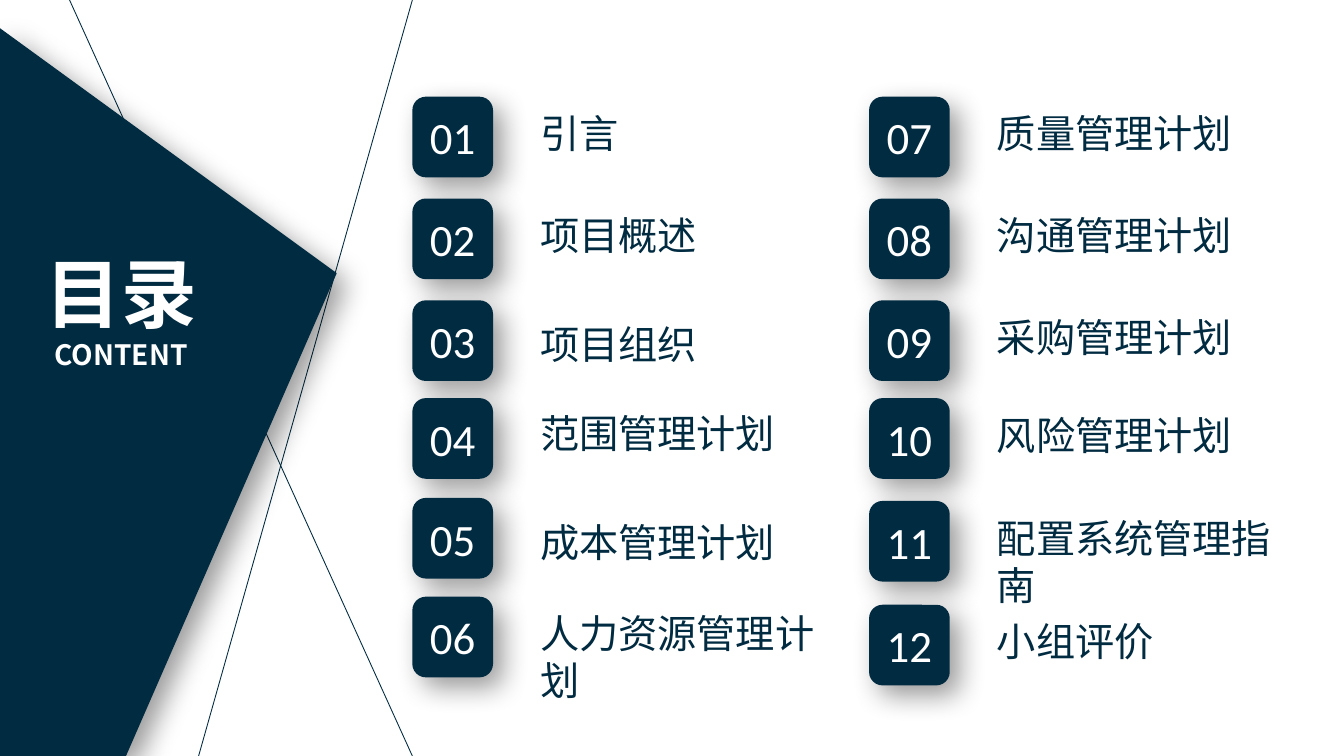
from dataclasses import dataclass

from lxml.etree import SubElement
from pptx import Presentation
from pptx.dml.color import RGBColor
from pptx.enum.shapes import MSO_CONNECTOR, MSO_SHAPE
from pptx.enum.text import MSO_ANCHOR, PP_ALIGN
from pptx.oxml.ns import qn
from pptx.util import Inches, Pt

HEADING = [("目录", 54), ("CONTENT", 20)]
COLUMNS = [
    ["引言", "项目概述", "项目组织", "范围管理计划", "成本管理计划", "人力资源管理计划"],
    ["质量管理计划", "沟通管理计划", "采购管理计划", "风险管理计划", "配置系统管理指南", "小组评价"],
]
COLUMN_LEFTS = [4.09, 8.62]
TILE_TOPS = [
    [0.96, 1.97, 2.98, 3.95, 4.94, 5.92],
    [0.96, 1.97, 2.98, 3.95, 4.97, 6.0],
]
LABEL_DROPS = [
    [0.08, 0.08, 0.15, 0.06, 0.15, 0.08],
    [0.08] * 6,
]
TILE_SIZE = 0.8
LABEL_OFFSET, LABEL_WIDTH, LABEL_HEIGHT = 1.17, 3.17, 0.57
RAYS = [((4.09, 0), (1.97, 7.5)), ((4.09, 7.5), (0.69, 0))]
WEDGE = [(1.25, 7.5), (0, 7.5), (0, 0.28), (3.34, 2.71)]


@dataclass(frozen=True)
class Theme:
    navy: RGBColor = RGBColor(0x00, 0x2B, 0x41)
    white: RGBColor = RGBColor(0xFF, 0xFF, 0xFF)
    shadow: str = "000000"
    chinese: str = "Noto Sans CJK SC"
    digits: str = "Calibri"
    number_size: int = 32
    label_size: int = 28
    ray_width: float = 0.63


theme = Theme()


def style_text(paragraph, face, size, color, bold=False):
    font = paragraph.font
    font.name, font.size, font.bold = face, Pt(size), bold
    font.color.rgb = color
    SubElement(font._element, qn("a:ea"), typeface=face)


def paint_with_shadow(shape):
    shape.fill.solid()
    shape.fill.fore_color.rgb = theme.navy
    shape.line.fill.background()
    shape.shadow.inherit = False
    effects = shape._element.spPr.find(qn("a:effectLst"))
    outer = SubElement(effects, qn("a:outerShdw"), blurRad=str(Pt(20)), dist=str(Pt(10)),
                       dir=str(45 * 60000), algn="tl", rotWithShape="0")
    color = SubElement(outer, qn("a:srgbClr"), val=theme.shadow)
    SubElement(color, qn("a:alpha"), val="40000")


def add_text_frame(slide, left, top, width, height):
    frame = slide.shapes.add_textbox(
        Inches(left), Inches(top), Inches(width), Inches(height)).text_frame
    frame.word_wrap = True
    return frame


def add_ray(slide, start, end):
    ray = slide.shapes.add_connector(
        MSO_CONNECTOR.STRAIGHT, *[Inches(value) for value in start + end])
    ray.line.color.rgb = theme.navy
    ray.line.width = Pt(theme.ray_width)
    SubElement(ray._element.spPr, qn("a:effectLst"))


def add_wedge(slide):
    points = [(Inches(x), Inches(y)) for x, y in WEDGE]
    builder = slide.shapes.build_freeform(*points[0])
    builder.add_line_segments(points[1:], close=True)
    paint_with_shadow(builder.convert_to_shape())


def add_heading(slide):
    frame = add_text_frame(slide, 0.24, 2.4, 1.92, 1.35)
    for index, (words, size) in enumerate(HEADING):
        paragraph = frame.add_paragraph() if index else frame.paragraphs[0]
        paragraph.text = words
        paragraph.alignment = PP_ALIGN.CENTER
        style_text(paragraph, theme.chinese, size, theme.white, bold=True)


def add_entry(slide, number, title, left, top, label_drop):
    tile = slide.shapes.add_shape(
        MSO_SHAPE.ROUNDED_RECTANGLE, Inches(left), Inches(top),
        Inches(TILE_SIZE), Inches(TILE_SIZE))
    paint_with_shadow(tile)
    frame = tile.text_frame
    frame.margin_left = frame.margin_right = frame.margin_top = frame.margin_bottom = 0
    frame.vertical_anchor = MSO_ANCHOR.MIDDLE
    frame.text = f"{number:02d}"
    frame.paragraphs[0].alignment = PP_ALIGN.CENTER
    style_text(frame.paragraphs[0], theme.digits, theme.number_size, theme.white)

    label = add_text_frame(
        slide, left + LABEL_OFFSET, top + label_drop, LABEL_WIDTH, LABEL_HEIGHT)
    label.text = title
    style_text(label.paragraphs[0], theme.chinese, theme.label_size, theme.navy)


deck = Presentation()
deck.slide_width, deck.slide_height = Inches(13.33), Inches(7.5)
contents = deck.slides.add_slide(deck.slide_layouts[6])

for start, end in RAYS:
    add_ray(contents, start, end)
add_wedge(contents)
add_heading(contents)

number = 0
for left, titles, tops, drops in zip(COLUMN_LEFTS, COLUMNS, TILE_TOPS, LABEL_DROPS):
    for title, top, drop in zip(titles, tops, drops):
        number += 1
        add_entry(contents, number, title, left, top, drop)

deck.save("out.pptx")
